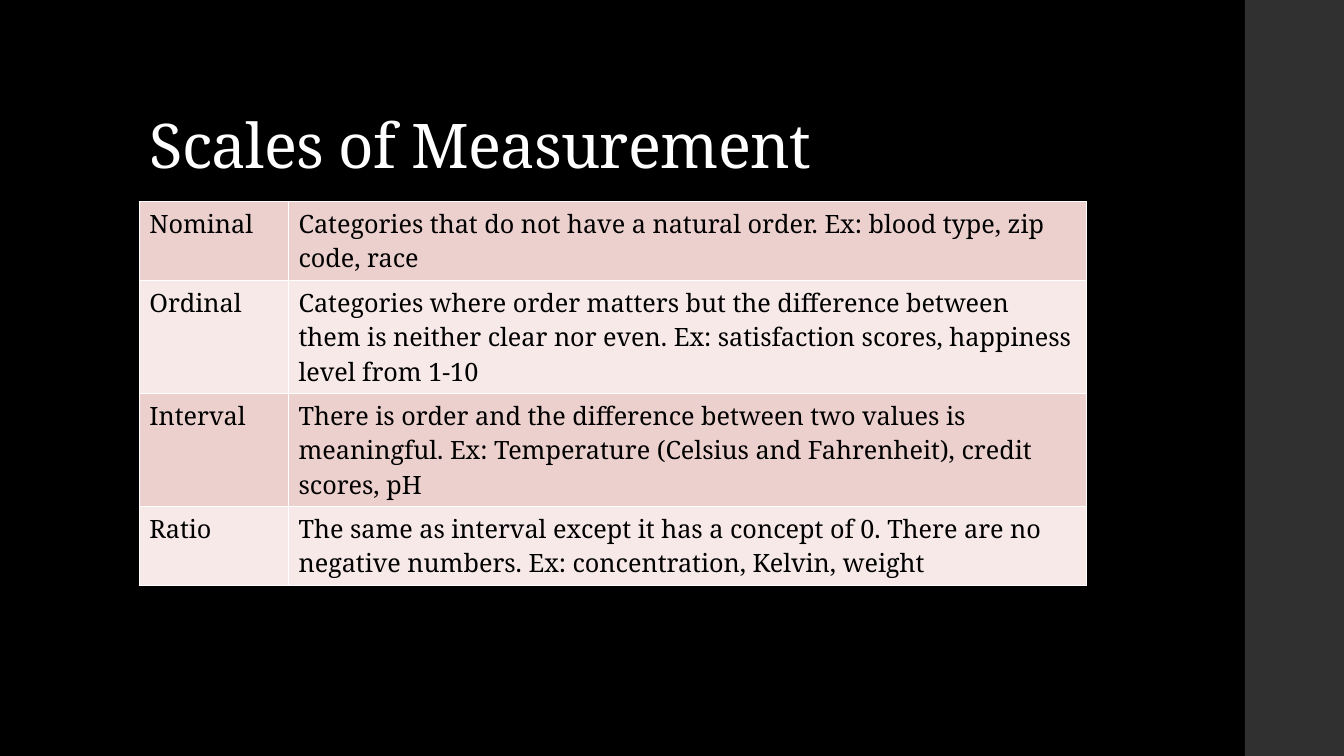
from pptx import Presentation
from pptx.dml.color import RGBColor
from pptx.enum import shapes, text
from pptx.oxml import parse_xml
from pptx.oxml import ns
from pptx.util import Cm, Pt

BLACK = RGBColor(0x00, 0x00, 0x00)
WHITE = RGBColor(0xFF, 0xFF, 0xFF)
SIDEBAR_GREY = RGBColor(0x30, 0x30, 0x30)
ROW_FILLS = [RGBColor(0xEC, 0xD0, 0xCD), RGBColor(0xF6, 0xE9, 0xE8)]
FONT = "Noto Serif"
LEFT = Cm(3.51)


def add_run(paragraph, content, size, color):
    run = paragraph.add_run()
    run.text = content
    run.font.name = FONT
    run.font.size = Pt(size)
    run.font.color.rgb = color
    return run


def add_borders(cell, color, width):
    properties = cell._tc.get_or_add_tcPr()
    for index, side in enumerate(["lnL", "lnR", "lnT", "lnB"]):
        properties.insert(index, parse_xml(
            f'<a:{side} {ns.nsdecls("a")} w="{Pt(width)}"><a:solidFill>'
            f'<a:srgbClr val="{color}"/></a:solidFill></a:{side}>'))


# Slide and background
presentation = Presentation()
presentation.slide_width = Cm(33.87)
presentation.slide_height = Cm(19.05)
slide = presentation.slides.add_slide(presentation.slide_layouts[5])
slide.background.fill.solid()
slide.background.fill.fore_color.rgb = BLACK

# Sidebar
sidebar = slide.shapes.add_shape(
    shapes.MSO_SHAPE.RECTANGLE, Cm(31.37), 0, Cm(2.54), presentation.slide_height)
sidebar.shadow.inherit = False
sidebar.fill.solid()
sidebar.fill.fore_color.rgb = SIDEBAR_GREY
sidebar.line.fill.background()

# Title
title = slide.shapes.title
title.left, title.top, title.width, title.height = LEFT, Cm(1.02), Cm(26.92), Cm(3.68)
title.text_frame.word_wrap = True
title.text_frame.auto_size = text.MSO_AUTO_SIZE.NONE
title.text_frame.vertical_anchor = text.MSO_ANCHOR.BOTTOM
paragraph = title.text_frame.paragraphs[0]
paragraph.alignment = text.PP_ALIGN.LEFT
paragraph.line_spacing = 0.9
title_run = add_run(paragraph, "Scales of Measurement", 44, WHITE)
title_run.font._element.set("spc", "-50")

# Table of scales: name, description, row height in cm
scales = [
    ("Nominal", "Categories that do not have a natural order. "
     "Ex: blood type, zip code, race", 1.99),
    ("Ordinal", "Categories where order matters but the difference between them "
     "is neither clear nor even. Ex: satisfaction scores, happiness level from 1-10", 2.85),
    ("Interval", "There is order and the difference between two values is meaningful. "
     "Ex: Temperature (Celsius and Fahrenheit), credit scores, pH", 2.85),
    ("Ratio", "The same as interval except it has a concept of 0. "
     "There are no negative numbers. Ex: concentration, Kelvin, weight", 1.99),
]
total_height = sum(height for _, _, height in scales)
table = slide.shapes.add_table(
    len(scales), 2, LEFT, Cm(5.08), Cm(23.88), Cm(total_height)).table
table.first_row = False
table.columns[0].width = Cm(3.76)
table.columns[1].width = Cm(20.12)

for row_index, (name, description, height) in enumerate(scales):
    table.rows[row_index].height = Cm(height)
    for column_index, content in enumerate([name, description]):
        cell = table.cell(row_index, column_index)
        cell.fill.solid()
        cell.fill.fore_color.rgb = ROW_FILLS[row_index % 2]
        add_borders(cell, WHITE, 1)
        add_run(cell.text_frame.paragraphs[0], content, 18, BLACK)

presentation.save("out.pptx")
